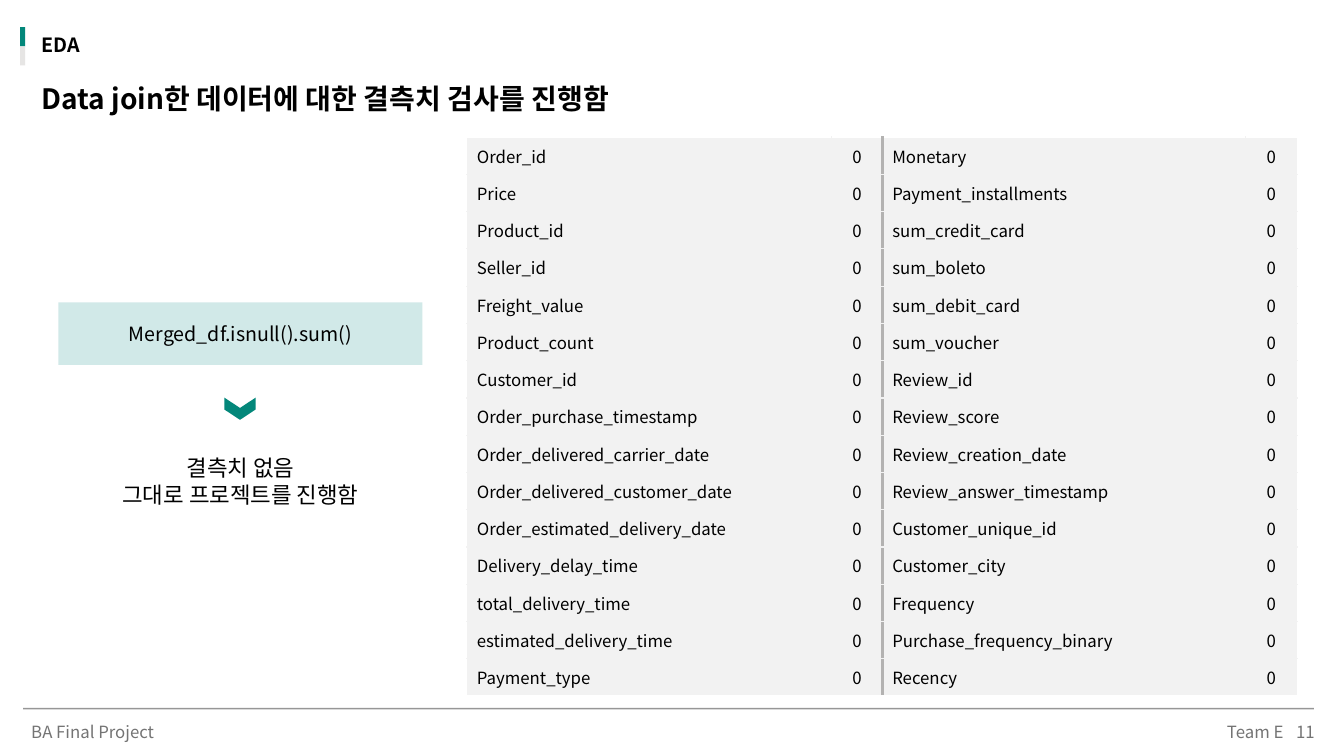
from pptx import Presentation
from pptx.dml.color import RGBColor
from pptx.enum.shapes import MSO_CONNECTOR as Connector, MSO_SHAPE as Shape
from pptx.enum.text import MSO_ANCHOR as Anchor, MSO_AUTO_SIZE as AutoSize, PP_ALIGN as Align
from pptx.oxml.ns import qn
from pptx.util import Inches, Pt
from lxml.etree import SubElement

FONT = "Noto Sans CJK KR"
BLACK = RGBColor(0x00, 0x00, 0x00)
WHITE = RGBColor(0xFF, 0xFF, 0xFF)
TEAL = RGBColor(0x03, 0x87, 0x7A)
PALE_TEAL = RGBColor(0xD1, 0xE9, 0xE8)
LIGHT_GRAY = RGBColor(0xE6, 0xE5, 0xE4)
CELL_GRAY = RGBColor(0xF2, 0xF2, 0xF2)
DIVIDER_GRAY = RGBColor(0xB3, 0xB2, 0xB1)
FOOTER_GRAY = RGBColor(0x74, 0x74, 0x74)
RULE_GRAY = RGBColor(0x40, 0x40, 0x40)

LEFT_FIELDS = [
    "Order_id", "Price", "Product_id", "Seller_id", "Freight_value",
    "Product_count", "Customer_id", "Order_purchase_timestamp",
    "Order_delivered_carrier_date", "Order_delivered_customer_date",
    "Order_estimated_delivery_date", "Delivery_delay_time",
    "total_delivery_time", "estimated_delivery_time", "Payment_type",
]
RIGHT_FIELDS = [
    "Monetary", "Payment_installments", "sum_credit_card", "sum_boleto",
    "sum_debit_card", "sum_voucher", "Review_id", "Review_score",
    "Review_creation_date", "Review_answer_timestamp", "Customer_unique_id",
    "Customer_city", "Frequency", "Purchase_frequency_binary", "Recency",
]
COLUMN_WIDTHS = [3.62, 0.5, 3.6, 0.52]
ROW_HEIGHT = 0.37


def write_lines(frame, lines, size, color=BLACK, bold=False, align=Align.LEFT, spacing=None):
    for index, line in enumerate(lines):
        paragraph = frame.add_paragraph() if index else frame.paragraphs[0]
        paragraph.alignment = align
        if spacing:
            paragraph.line_spacing = spacing
        run = paragraph.add_run()
        run.text = line
        run.font.size = Pt(size)
        run.font.bold = bold
        run.font.name = FONT
        run.font.color.rgb = color
        SubElement(run.font._element, qn("a:ea"), typeface=FONT)


def prepare_frame(frame, inset=None):
    frame.word_wrap = True
    frame.auto_size = AutoSize.NONE
    frame.vertical_anchor = Anchor.MIDDLE
    if inset is not None:
        frame.margin_left = frame.margin_right = inset
        frame.margin_top = frame.margin_bottom = inset


def add_title(slide, text):
    title = slide.shapes.title
    title.left, title.top = Inches(0.31), Inches(0.76)
    title.width, title.height = Inches(12.71), Inches(0.44)
    prepare_frame(title.text_frame)
    write_lines(title.text_frame, [text], 20, bold=True)


def add_text(slide, left, top, width, height, lines, size, inset=None, **style):
    box = slide.shapes.add_textbox(Inches(left), Inches(top), Inches(width), Inches(height))
    prepare_frame(box.text_frame, inset)
    write_lines(box.text_frame, lines, size, **style)


def add_footer(slide, left, text, align):
    add_text(slide, left, 7.18, 3.49, 0.18, [text], 12, inset=0,
             color=FOOTER_GRAY, align=align, spacing=0.9)


def add_block(slide, preset, left, top, width, height, color):
    block = slide.shapes.add_shape(
        preset, Inches(left), Inches(top), Inches(width), Inches(height))
    block.shadow.inherit = False
    block.fill.solid()
    block.fill.fore_color.rgb = color
    block.line.fill.background()
    return block


def add_footer_rule(slide):
    rule = slide.shapes.add_connector(
        Connector.STRAIGHT, Inches(13.03), Inches(7.03), Inches(0.23), Inches(7.03))
    rule.line.color.rgb = RULE_GRAY
    rule.line.width = Pt(1)
    color = rule.line._ln.find(".//" + qn("a:srgbClr"))
    SubElement(color, qn("a:alpha"), val="54000")
    SubElement(rule._element.spPr, qn("a:effectLst"))


def add_border(cell, side, color, width=1):
    properties = cell._tc.get_or_add_tcPr()
    line = SubElement(properties, qn(f"a:ln{side}"), w=str(Pt(width)))
    fill = SubElement(line, qn("a:solidFill"))
    SubElement(fill, qn("a:srgbClr"), val=str(color))


def format_cell(cell, row, column, last_row, last_column):
    middle = last_column // 2
    vertical = {0: (WHITE, 1), middle + 1: (DIVIDER_GRAY, 2.25), last_column + 1: (WHITE, 1)}
    add_border(cell, "L", *vertical.get(column, (CELL_GRAY, 1)))
    add_border(cell, "R", *vertical.get(column + 1, (CELL_GRAY, 1)))
    add_border(cell, "T", WHITE if row == 0 else CELL_GRAY)
    add_border(cell, "B", WHITE if row == last_row else CELL_GRAY)
    cell.fill.solid()
    cell.fill.fore_color.rgb = CELL_GRAY
    cell.vertical_anchor = Anchor.MIDDLE


def add_missing_value_table(slide):
    rows = [(left, "0", right, "0") for left, right in zip(LEFT_FIELDS, RIGHT_FIELDS)]
    table = slide.shapes.add_table(
        len(rows), len(COLUMN_WIDTHS), Inches(4.63), Inches(1.36),
        Inches(sum(COLUMN_WIDTHS)), Inches(ROW_HEIGHT * len(rows))).table
    table.first_row = False
    table.horz_banding = False
    for column, width in zip(table.columns, COLUMN_WIDTHS):
        column.width = Inches(width)
    for row, values in enumerate(rows):
        table.rows[row].height = Inches(ROW_HEIGHT)
        for column, value in enumerate(values):
            cell = table.cell(row, column)
            format_cell(cell, row, column, len(rows) - 1, len(values) - 1)
            align = Align.CENTER if column % 2 else Align.LEFT
            write_lines(cell.text_frame, [value], 12, align=align)


def main():
    presentation = Presentation()
    presentation.slide_width = Inches(13.33)
    presentation.slide_height = Inches(7.5)
    slide = presentation.slides.add_slide(presentation.slide_layouts[5])

    add_block(slide, Shape.RECTANGLE, 0.2, 0.27, 0.05, 0.19, TEAL)
    add_block(slide, Shape.RECTANGLE, 0.2, 0.46, 0.05, 0.19, LIGHT_GRAY)
    add_text(slide, 0.31, 0.27, 2.29, 0.34, ["EDA"], 14, bold=True)
    add_title(slide, "Data join한 데이터에 대한 결측치 검사를 진행함")

    add_footer_rule(slide)
    add_footer(slide, 0.31, "BA Final Project", Align.LEFT)
    add_footer(slide, 9.55, "11", Align.RIGHT)
    add_footer(slide, 9.24, "Team E", Align.RIGHT)

    add_missing_value_table(slide)

    command = add_block(slide, Shape.RECTANGLE, 0.58, 3, 3.61, 0.62, PALE_TEAL)
    prepare_frame(command.text_frame)
    write_lines(command.text_frame, ["Merged_df.isnull().sum()"], 14, align=Align.CENTER)
    add_text(slide, 0.58, 4.45, 3.61, 0.64,
             ["결측치 없음", "그대로 프로젝트를 진행함"], 16, align=Align.CENTER)
    chevron = add_block(slide, Shape.CHEVRON, 2.27, 3.9, 0.22, 0.31, TEAL)
    chevron.adjustments[0] = 0.465
    chevron.rotation = 90

    presentation.save("out.pptx")


if __name__ == "__main__":
    main()
